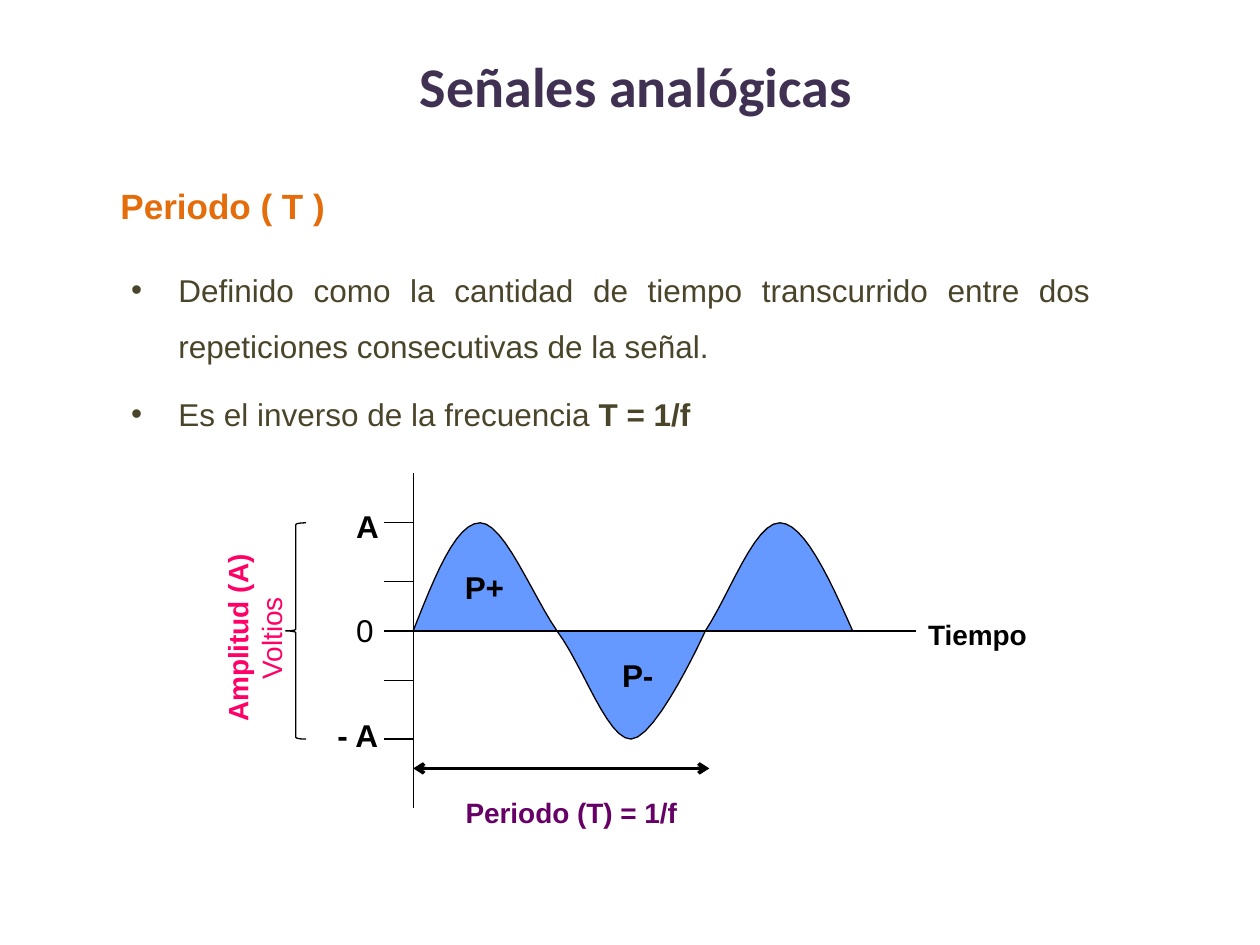
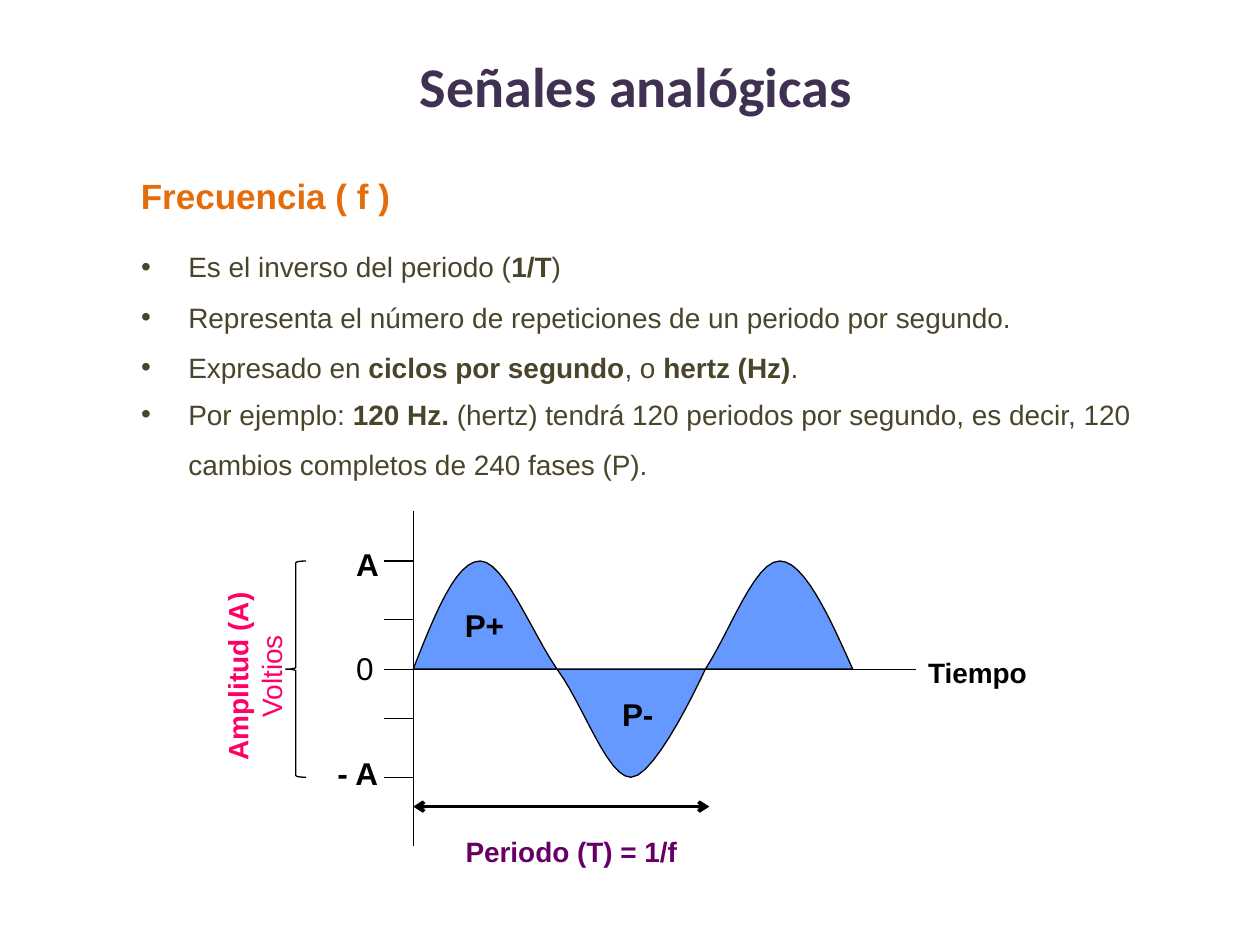
from lxml.etree import SubElement
from pptx import Presentation
from pptx.dml.color import RGBColor
from pptx.enum.shapes import MSO_CONNECTOR, MSO_SHAPE
from pptx.enum.text import MSO_ANCHOR, MSO_AUTO_SIZE, PP_ALIGN
from pptx.oxml.ns import qn
from pptx.util import Cm, Pt

BLACK = RGBColor(0x00, 0x00, 0x00)
WHITE = RGBColor(0xFF, 0xFF, 0xFF)
BLUE = RGBColor(0x66, 0x99, 0xFF)
PINK = RGBColor(0xFF, 0x00, 0x66)
PURPLE = RGBColor(0x66, 0x00, 0x66)
PLUM = RGBColor(0x40, 0x31, 0x52)
ORANGE = RGBColor(0xE4, 0x6C, 0x0A)
OLIVE = RGBColor(0x4A, 0x45, 0x2A)

LEFT = 8.33
PEAK = 2.18
STEPS = 12
THIN = 0.75
CURVES = [
    ((0.43, -1.09), (0.86, -PEAK), (1.35, -PEAK)),
    ((1.83, -PEAK), (2.39, -0.74), (2.9, 0)),
    ((3.43, 0.71), (3.91, PEAK), (4.39, PEAK)),
    ((4.9, PEAK), (5.89, 0), (5.89, 0)),
    ((6.38, -0.74), (6.88, -PEAK), (7.39, -PEAK)),
    ((7.87, -PEAK), (8.38, -1.09), (8.86, 0)),
]


def add_run(para, text, size, color, bold=False, face="Arial"):
    run = para.add_run()
    run.text = text
    font = run.font
    font.name, font.size, font.bold = face, Pt(size), bold
    font.color.rgb = color


def place(shape, left, top, width, height):
    shape.left, shape.top = Cm(left), Cm(top)
    shape.width, shape.height = Cm(width), Cm(height)


def add_label(shapes, box, runs, size, color, align=PP_ALIGN.LEFT):
    label = shapes.add_textbox(*map(Cm, box))
    label.text_frame.word_wrap = True
    para = label.text_frame.paragraphs[0]
    para.alignment = align
    for text, bold in runs:
        add_run(para, text, size, color, bold)
    return label


def add_line(shapes, start, end, width=THIN, arrows=False):
    line = shapes.add_connector(MSO_CONNECTOR.STRAIGHT, *map(Cm, start + end))
    line.line.color.rgb = BLACK
    line.line.width = Pt(width)
    props = line.element.spPr
    if arrows:
        for tag in ("a:headEnd", "a:tailEnd"):
            SubElement(props.find(qn("a:ln")), qn(tag), type="arrow")
    SubElement(props, qn("a:effectLst"))


def paint(shape, fill):
    shape.shadow.inherit = False
    shape.fill.solid()
    shape.fill.fore_color.rgb = fill
    shape.line.color.rgb = BLACK
    shape.line.width = Pt(THIN)


def add_wave(shapes, zero):
    points = []
    last = (0, 0)
    for first, second, end in CURVES:
        for step in range(1, STEPS + 1):
            t = step / STEPS
            s = 1 - t
            x, y = (s**3 * a + 3 * s * s * t * b + 3 * s * t * t * c + t**3 * d
                    for a, b, c, d in zip(last, first, second, end))
            points.append((Cm(LEFT + x), Cm(zero + y)))
        last = end
    pen = shapes.build_freeform(Cm(LEFT), Cm(zero))
    pen.add_line_segments(points, close=True)
    paint(pen.convert_to_shape(), BLUE)


def add_graph(slide, zero):
    shapes = slide.shapes.add_group_shape().shapes

    def spot(x, y):
        return LEFT + x, zero + y

    def note(x, y, width, runs, size, color=BLACK, align=PP_ALIGN.LEFT, height=1):
        return add_label(shapes, spot(x, y) + (width, height), runs, size, color, align)

    add_wave(shapes, zero)
    add_line(shapes, spot(0, -3.18), spot(0, 3.56))
    for y in (-PEAK, -1, 1, PEAK):
        add_line(shapes, spot(-0.58, y), spot(0, y))
    volts = note(-5.28, -0.67, 4.17, [("Amplitud (A) ", True), ("Voltios", False)],
                 16, PINK, PP_ALIGN.CENTER, 1.63)
    volts.rotation = 270
    note(-1.4, -0.53, 1, [("0", False)], 18)
    note(-1.78, 1.58, 1.58, [("- A", True)], 18)
    note(-1.4, -2.62, 1, [("A", True)], 18)
    brace = shapes.add_shape(MSO_SHAPE.LEFT_BRACE, *map(Cm, spot(-2.57, -PEAK) + (0.41, 2 * PEAK)))
    brace.adjustments[0] = 0.08
    paint(brace, WHITE)
    note(10.13, -0.4, 2.77, [("Tiempo", True)], 16)
    add_line(shapes, spot(0, 2.77), spot(5.97, 2.77), 2, True)
    note(0.61, 3.2, 5.16, [("Periodo (T) = 1/f", True)], 16, PURPLE, PP_ALIGN.CENTER)
    note(0.79, -1.4, 1.4, [("P+", True)], 18)
    note(3.96, 0.39, 1.4, [("P-", True)], 18)
    add_line(shapes, spot(-0.58, 0), spot(10.13, 0))


def add_list(holder, box, items, size, align=PP_ALIGN.LEFT, after=0):
    place(holder, *box)
    frame = holder.text_frame
    frame.auto_size = MSO_AUTO_SIZE.NONE
    for index, runs in enumerate(items):
        para = frame.add_paragraph() if index else frame.paragraphs[0]
        para.alignment = align
        para.line_spacing = 1.5
        para.space_before, para.space_after = Pt(0), Pt(after)
        for text, bold in runs:
            add_run(para, text, size, OLIVE, bold)


def add_page(deck, layout, topic, box):
    slide = deck.slides.add_slide(deck.slide_layouts[layout])
    title = slide.shapes.title
    place(title, 0.38, 0.13, 24.89, 3.18)
    frame = title.text_frame
    frame.auto_size = MSO_AUTO_SIZE.NONE
    frame.vertical_anchor = MSO_ANCHOR.MIDDLE
    frame.paragraphs[0].alignment = PP_ALIGN.CENTER
    add_run(frame.paragraphs[0], "Señales analógicas", 32, PLUM, True, "Calibri")
    head = add_label(slide.shapes, box, [(topic, True)], 20, ORANGE, PP_ALIGN.JUSTIFY)
    head.text_frame.paragraphs[0].line_spacing = 1.5
    return slide


def main():
    deck = Presentation()
    deck.slide_width, deck.slide_height = Cm(25.4), Cm(19.05)

    slide = add_page(deck, 1, "Periodo ( T )", (2.18, 3.18, 6.2, 1.4))
    add_list(slide.placeholders[1], (2.39, 4.95, 19.84, 3.96), [
        [("Definido como la cantidad de tiempo transcurrido entre dos "
          "repeticiones consecutivas de la señal.", False)],
        [("Es el inverso de la frecuencia ", False), ("T = 1/f", True)],
    ], 18, PP_ALIGN.JUSTIFY, 6)
    add_graph(slide, 12.72)

    slide = add_page(deck, 3, "Frecuencia ( f )", (2.59, 2.97, 6.55, 1.4))
    add_list(slide.placeholders[1], (2.59, 4.57, 20.62, 3.58), [
        [("Es el inverso del periodo (", False), ("1/T", True), (")", False)],
        [("Representa el número de repeticiones de un periodo por segundo.", False)],
        [("Expresado en ", False), ("ciclos por segundo", True), (", o ", False),
         ("hertz (Hz)", True), (".", False)],
    ], 16)
    add_list(slide.placeholders[2], (2.59, 7.54, 20.62, 2.77), [
        [("Por ejemplo: ", False), ("120 Hz. ", True),
         ("(hertz) tendrá 120 periodos por segundo, es decir, "
          "120 cambios completos de 240 fases (P).", False)],
    ], 16)
    add_graph(slide, 13.49)

    deck.save("out.pptx")


if __name__ == "__main__":
    main()
